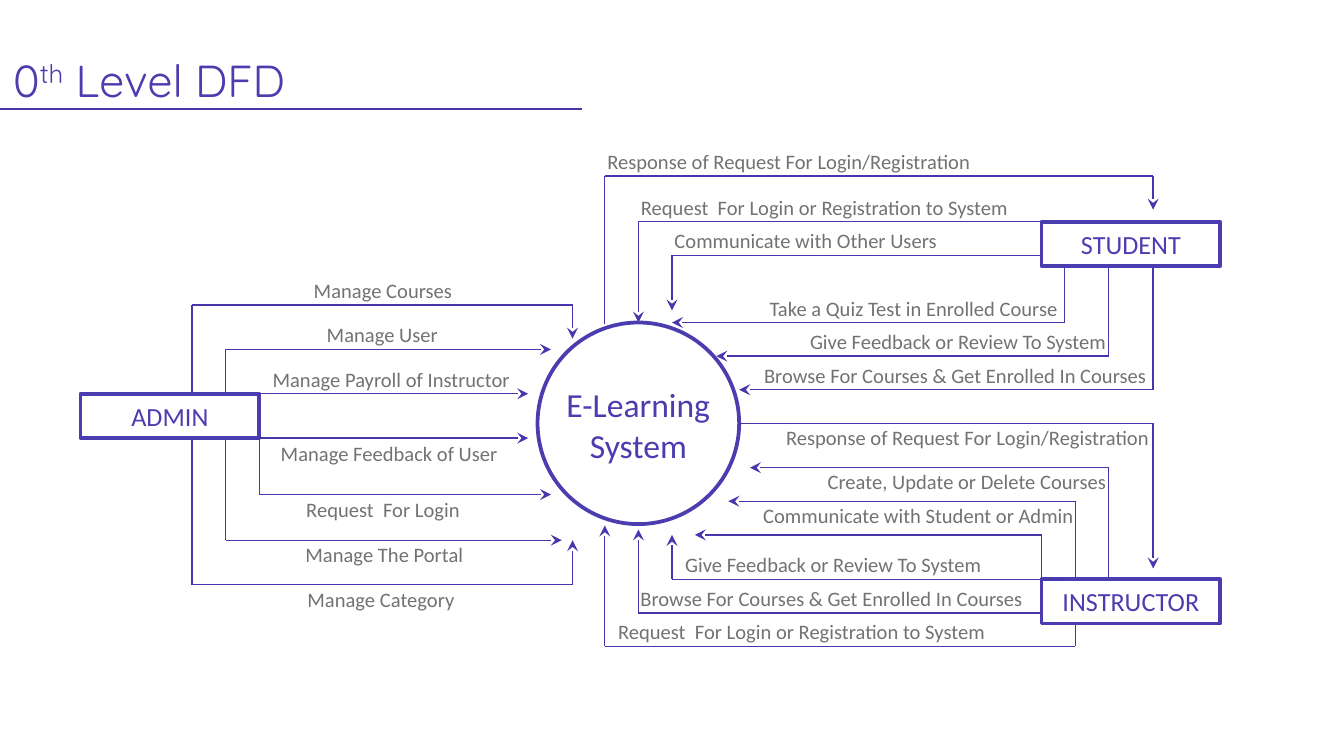
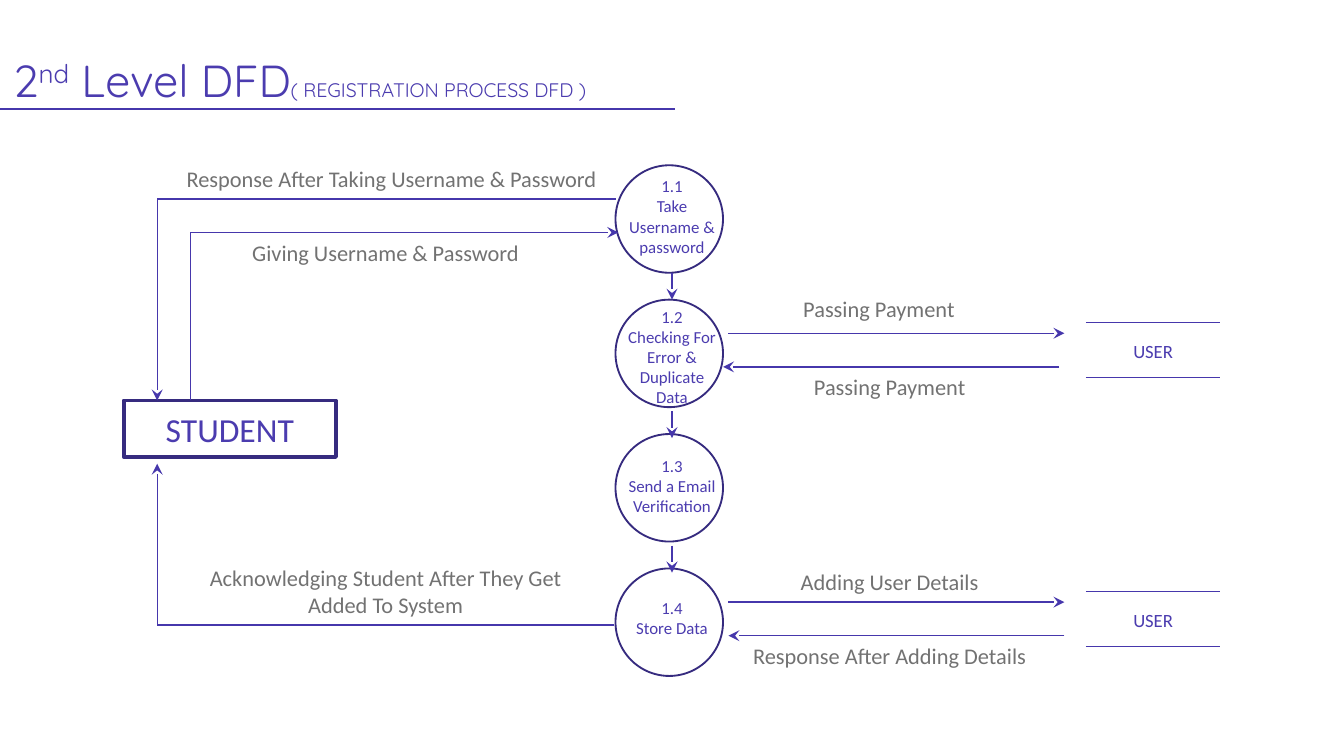
from dataclasses import dataclass
from itertools import pairwise

from lxml import etree
from pptx import Presentation
from pptx.dml.color import RGBColor
from pptx.enum.shapes import MSO_CONNECTOR, MSO_SHAPE
from pptx.enum.text import MSO_ANCHOR, MSO_AUTO_SIZE, PP_ALIGN
from pptx.oxml.ns import qn
from pptx.util import Inches, Pt

STRAIGHT = MSO_CONNECTOR.STRAIGHT
OVAL, RECTANGLE = MSO_SHAPE.OVAL, MSO_SHAPE.RECTANGLE
LEFT, CENTER, RIGHT = PP_ALIGN.LEFT, PP_ALIGN.CENTER, PP_ALIGN.RIGHT
TOP, MIDDLE, BOTTOM = MSO_ANCHOR.TOP, MSO_ANCHOR.MIDDLE, MSO_ANCHOR.BOTTOM
FIT_SHAPE = MSO_AUTO_SIZE.SHAPE_TO_FIT_TEXT

VIOLET = RGBColor(0x4B, 0x3C, 0xAF)
LINE_VIOLET = RGBColor(0x46, 0x37, 0xAC)
DARK_VIOLET = RGBColor(0x36, 0x2B, 0x7F)
GRAY = RGBColor(0x72, 0x72, 0x72)
BODY_FONT, TITLE_FONT = "Calibri", "Quicksand"

TITLE_BOTTOM, RULE_TOP = 0.89, 0.81


@dataclass
class Label:
    text: str
    left: float
    top: float
    width: float
    align: PP_ALIGN = CENTER
    height: float = 0.29


@dataclass
class Node:
    """An outlined entity or process."""
    left: float
    top: float
    width: float
    height: float
    text: str = ""
    size: float = 14
    kind: MSO_SHAPE = RECTANGLE
    color: RGBColor = VIOLET
    weight: float = 2


@dataclass
class Process:
    """A numbered step; its caption has its own top."""
    text: str
    text_top: float
    text_height: float


@dataclass
class Store:
    """A data store with the flow going to it and the one coming back."""
    top: float
    request: Label
    reply: Label
    reply_start: float
    reply_end: float


Route = tuple[tuple[float, float], ...]

OVERVIEW_NODES = [
    Node(4, 2.4, 1.5, 1.5, kind=OVAL),
    Node(0.6, 2.93, 1.33, 0.33, "ADMIN"),
    Node(7.75, 1.65, 1.33, 0.33, "STUDENT"),
    Node(7.75, 4.31, 1.33, 0.33, "INSTRUCTOR"),
]

ADMIN_ROUTES: list[Route] = [
    ((1.43, 2.93), (1.43, 2.27), (4.26, 2.27), (4.26, 2.52)),
    ((1.68, 2.93), (1.68, 2.6), (4.1, 2.6)),
    ((1.93, 2.93), (3.93, 2.93)),
    ((1.93, 3.26), (3.93, 3.26)),
    ((1.93, 3.26), (1.93, 3.68), (4.1, 3.68)),
    ((1.68, 3.26), (1.68, 4.02), (4.18, 4.02)),
    ((1.43, 3.26), (1.43, 4.35), (4.26, 4.35), (4.26, 4.02)),
]

STUDENT_ROUTES: list[Route] = [
    ((4.5, 2.41), (4.5, 1.31), (8.58, 1.31), (8.58, 1.56)),
    ((7.75, 1.65), (4.75, 1.65), (4.75, 2.4)),
    ((7.75, 1.9), (5, 1.9), (5, 2.31)),
    ((7.92, 1.98), (7.92, 2.4), (5, 2.4)),
    ((8.25, 1.98), (8.25, 2.65), (5.33, 2.65)),
    ((8.58, 1.98), (8.58, 2.9), (5.5, 2.9)),
]

INSTRUCTOR_ROUTES: list[Route] = [
    ((5.5, 3.15), (8.58, 3.15), (8.58, 4.23)),
    ((8.25, 4.31), (8.25, 3.48), (5.58, 3.48)),
    ((8, 4.31), (8, 3.73), (5.42, 3.73)),
    ((7.75, 4.4), (7.75, 3.98), (5.17, 3.98)),
    ((7.92, 4.31), (5, 4.31), (5, 3.98)),
    ((7.75, 4.56), (4.75, 4.56), (4.75, 3.94)),
    ((8, 4.65), (8, 4.81), (4.5, 4.81), (4.5, 3.91)),
]

OVERVIEW_LABELS = [
    Label("Manage Courses", 1.35, 2.02, 3),
    Label("Manage User", 1.47, 2.35, 2.75),
    Label("Manage Payroll of Instructor", 1.93, 2.68, 2, LEFT),
    Label("Manage Feedback of User", 1.99, 3.23, 2.92, LEFT),
    Label("Request  For Login", 1.39, 3.65, 2.92),
    Label("Manage The Portal", 1.45, 3.98, 2.82),
    Label("Manage Category", 1.42, 4.32, 2.83),
    Label("Response of Request For Login/Registration", 4.42, 1.06, 3.08, LEFT),
    Label("Request  For Login or Registration to System", 4.67, 1.4, 3.08, LEFT),
    Label("Communicate with Other Users", 4.92, 1.65, 2.83, LEFT),
    Label("Take a Quiz Test in Enrolled Course", 4.97, 2.15, 3, RIGHT),
    Label("Give Feedback or Review To System", 5.5, 2.4, 2.83, RIGHT),
    Label("Browse For Courses & Get Enrolled In Courses", 5.55, 2.65, 3.08, RIGHT),
    Label("Response of Request For Login/Registration", 5.75, 3.11, 3.08, LEFT),
    Label("Create, Update or Delete Courses", 5.5, 3.44, 2.83, RIGHT),
    Label("Communicate with Student or Admin", 5.58, 3.69, 2.67, LEFT),
    Label("Give Feedback or Review To System", 5, 4.06, 2.83, LEFT),
    Label("Browse For Courses & Get Enrolled In Courses", 4.63, 4.31, 3.08, RIGHT),
    Label("Request  For Login or Registration to System", 4.5, 4.56, 3.75, LEFT),
]

PROCESSES = [
    Process("1.1\nTake\nUsername & password", 1.26, 0.72),
    Process("1.2\nChecking For Error & Duplicate\nData", 2.23, 0.86),
    Process("1.3\nSend a Email Verification", 3.34, 0.56),
    Process("1.4\nStore Data", 4.4, 0.4),
]
PROCESS_LEFT, PROCESS_TOP, PROCESS_SIZE, PROCESS_STEP = 4.58, 1.23, 0.8, 1
STEP_ARROW_TOPS = (2.03, 3.06, 4.06)

REGISTRATION_ROUTES: list[Route] = [
    ((4.58, 1.48), (1.17, 1.48), (1.17, 2.98)),
    ((1.42, 2.98), (1.42, 1.73), (4.6, 1.73)),
    ((4.57, 4.65), (1.17, 4.65), (1.17, 3.45)),
    *(((5, top), (5, top + 0.2)) for top in STEP_ARROW_TOPS),
]

REGISTRATION_LABELS = [
    Label("Response After Taking Username & Password", 1.25, 1.18, 3.33),
    Label("Giving Username & Password", 1.33, 1.73, 3.08),
    Label("Acknowledging Student After They Get Added To System",
          1.33, 4.15, 3.08, height=0.5),
]

STORES = [
    Store(2.4, Label("Passing Payment", 5, 2.15, 3.08),
          Label("Passing Payment", 5.08, 2.73, 3.08), 7.88, 5.38),
    Store(4.4, Label("Adding User Details", 5.08, 4.18, 3.08),
          Label("Response After Adding Details", 5.08, 4.73, 3.08), 7.92, 5.42),
]


def apply_format(target, values: dict) -> None:
    for name, value in values.items():
        setattr(target, name, value)


def style_font(font, size: float, color: RGBColor, name: str = BODY_FONT) -> None:
    apply_format(font, {"size": Pt(size), "name": name})
    font.color.rgb = color


def write(frame, text: str, size: float, color: RGBColor, align: PP_ALIGN) -> None:
    """Fill a text frame, one paragraph for each line of the text."""
    frame.text = text
    for para in frame.paragraphs:
        para.alignment = align
        for span in para.runs:
            style_font(span.font, size, color)


def add_label(page, label: Label, size: float, color: RGBColor = GRAY) -> None:
    box = page.shapes.add_textbox(Inches(label.left), Inches(label.top),
                                  Inches(label.width), Inches(label.height))
    apply_format(box.text_frame, {"word_wrap": True, "auto_size": FIT_SHAPE,
                                  "vertical_anchor": TOP})
    write(box.text_frame, label.text, size, color, label.align)


def add_node(page, node: Node) -> None:
    shape = page.shapes.add_shape(node.kind, Inches(node.left), Inches(node.top),
                                  Inches(node.width), Inches(node.height))
    shape.shadow.inherit = False
    shape.fill.background()
    shape.line.color.rgb = node.color
    shape.line.width = Pt(node.weight)
    if node.text:
        apply_format(shape.text_frame, {"word_wrap": True, "vertical_anchor": MIDDLE})
        write(shape.text_frame, node.text, node.size, VIOLET, CENTER)


def add_route(page, route: Route, arrow: bool = True) -> None:
    """Join the points with straight lines, the last one with an arrowhead."""
    for start, end in pairwise(route):
        line = page.shapes.add_connector(STRAIGHT, *map(Inches, start + end))
        line.line.color.rgb = LINE_VIOLET
        line.line.width = Pt(0.75)
        properties = line._element.spPr
        if arrow and end == route[-1]:
            etree.SubElement(properties.find(qn("a:ln")), qn("a:tailEnd"), type="stealth")
        etree.SubElement(properties, qn("a:effectLst"))


def add_title(page, number: str, ordinal: str, rule_end: float,
              top: float, width: float, note: str = "") -> None:
    box = page.shapes.add_textbox(0, Inches(top), Inches(width),
                                  Inches(TITLE_BOTTOM - top))
    margins = {f"margin_{side}": Inches(0.1) for side in ("left", "top", "right", "bottom")}
    apply_format(box.text_frame, {"word_wrap": True, "vertical_anchor": BOTTOM, **margins})
    para = box.text_frame.paragraphs[0]
    parts = [(number, 24, 0), (ordinal, 24, 30000), (" Level DFD", 24, 0), (note, 10.5, 0)]
    for text, size, baseline in parts:
        if text:
            span = para.add_run()
            span.text = text
            style_font(span.font, size, VIOLET, TITLE_FONT)
            if baseline:
                span.font._element.set("baseline", str(baseline))
    add_route(page, ((0, RULE_TOP), (rule_end, RULE_TOP)), arrow=False)


def add_store(page, store: Store) -> None:
    for edge in (store.top, store.top + 0.41):
        add_route(page, ((8.08, edge), (9.08, edge)), arrow=False)
    request_top, reply_top = store.top + 0.08, store.top + 0.33
    add_label(page, Label("USER", 8.08, request_top, 1, height=0.27), 10, VIOLET)
    add_route(page, ((5.42, request_top), (7.92, request_top)))
    add_route(page, ((store.reply_start, reply_top), (store.reply_end, reply_top)))
    for label in (store.request, store.reply):
        add_label(page, label, 12)


def build_overview(page) -> None:
    add_title(page, "0", "th", 4.33, top=0.07, width=5.16)
    for node in OVERVIEW_NODES:
        add_node(page, node)
    for route in ADMIN_ROUTES + STUDENT_ROUTES + INSTRUCTOR_ROUTES:
        add_route(page, route)
    add_label(page, Label("E-Learning\nSystem", 4, 2.81, 1.5, height=0.71), 18, VIOLET)
    for label in OVERVIEW_LABELS:
        add_label(page, label, 11)


def build_registration(page) -> None:
    add_title(page, "2", "nd", 5.02, top=0.31, width=6.41,
              note="( REGISTRATION PROCESS DFD )")
    add_node(page, Node(0.92, 2.98, 1.58, 0.42, "STUDENT", 18, color=DARK_VIOLET))
    for index, process in enumerate(PROCESSES):
        add_node(page, Node(PROCESS_LEFT, PROCESS_TOP + index * PROCESS_STEP,
                            PROCESS_SIZE, PROCESS_SIZE, kind=OVAL,
                            color=DARK_VIOLET, weight=1))
        add_label(page, Label(process.text, 4.5, process.text_top, 1,
                              height=process.text_height), 9, VIOLET)
    for route in REGISTRATION_ROUTES:
        add_route(page, route)
    for label in REGISTRATION_LABELS:
        add_label(page, label, 12)
    for store in STORES:
        add_store(page, store)


def main() -> None:
    deck = Presentation()
    deck.slide_width = Inches(10)
    deck.slide_height = deck.slide_width * 9 // 16
    blank = deck.slide_layouts[6]
    for build in (build_overview, build_registration):
        build(deck.slides.add_slide(blank))
    deck.save("out.pptx")


if __name__ == "__main__":
    main()
